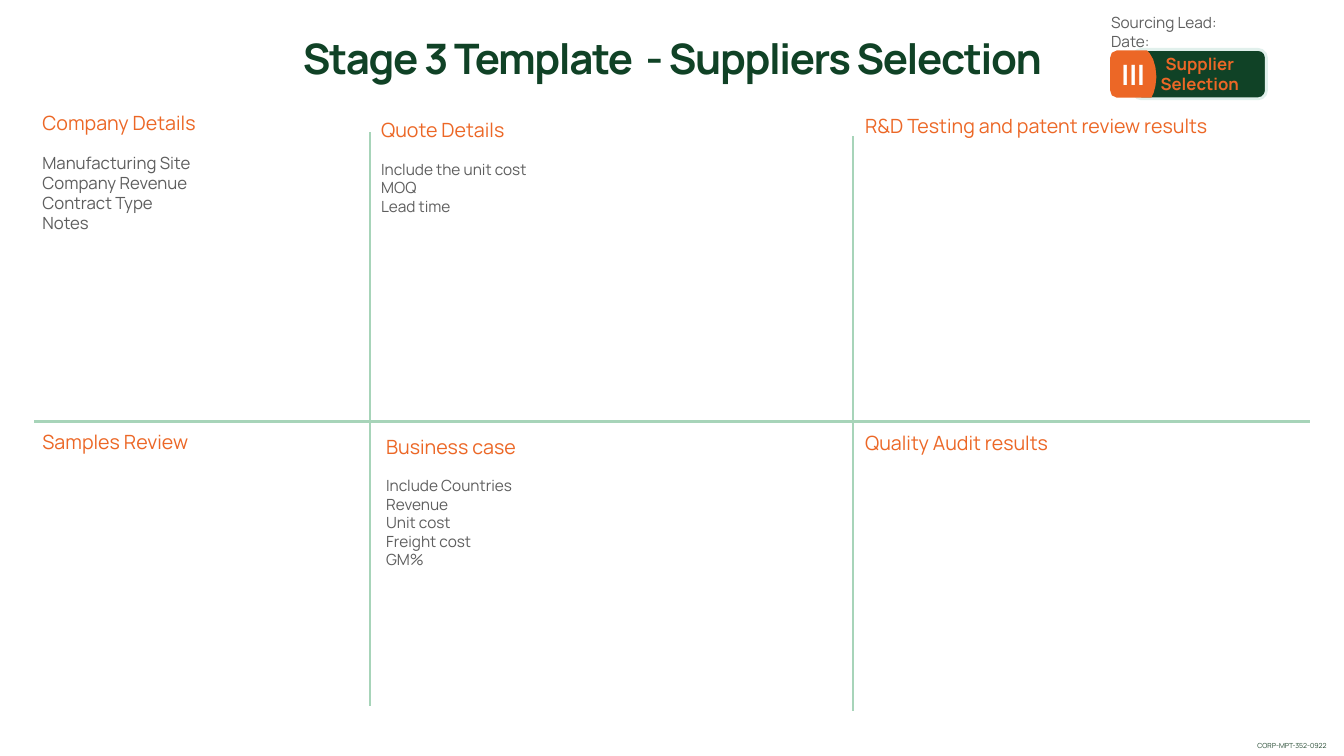
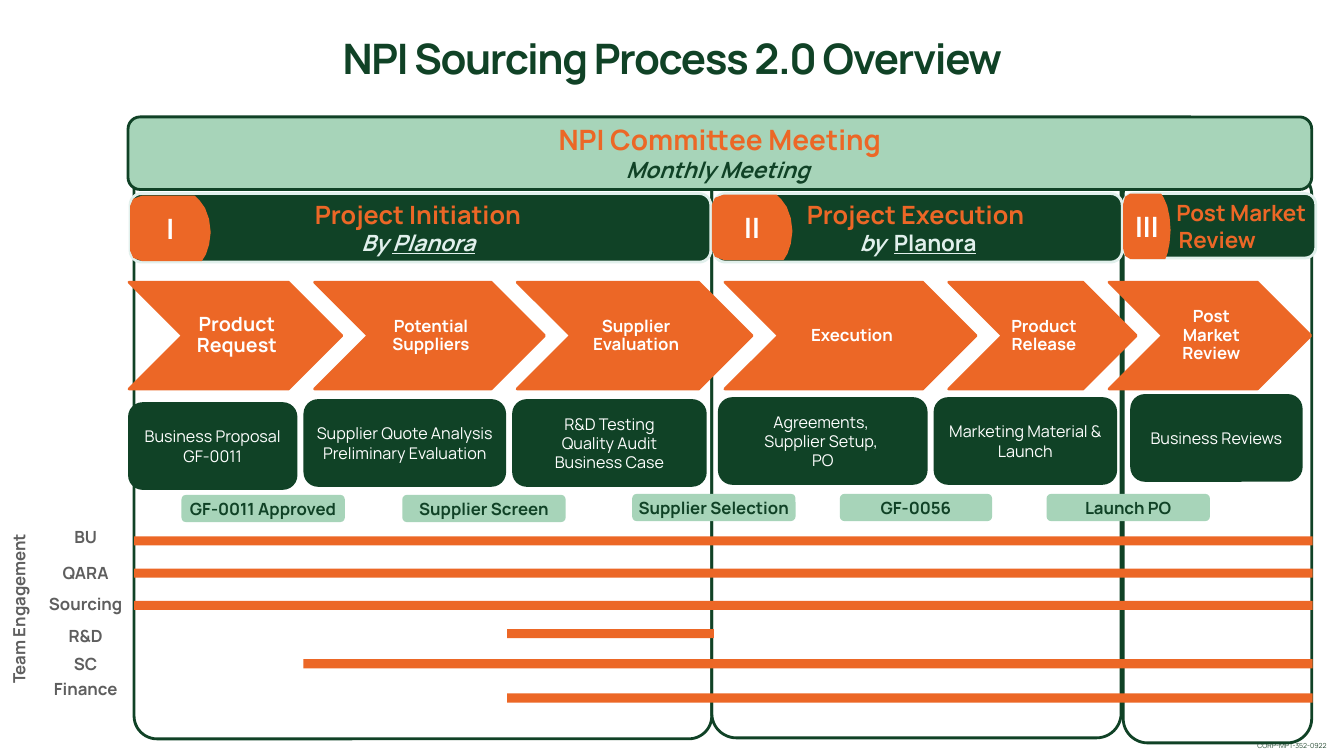
import pptx
import pptx.dml.color
import pptx.enum.shapes
import pptx.enum.text
import pptx.oxml.ns
import pptx.util
from lxml import etree

Inches = pptx.util.Inches
Pt = pptx.util.Pt
SHAPE = pptx.enum.shapes.MSO_SHAPE
ALIGN = pptx.enum.text.PP_ALIGN
ANCHOR = pptx.enum.text.MSO_ANCHOR

FONT = "Manrope"
GREEN, ORANGE, MINT = "104226", "EC6726", "A7D4B9"
PALE, GREY, WHITE, FOOTER = "E1F0EC", "5E5E5E", "FFFFFF", "244931"

TAG_OUTLINE = [
    (0.15, 0), (0.8, 0), (0.86, 0.07), (0.93, 0.19), (0.98, 0.36), (1, 0.56),
    (0.98, 0.75), (0.94, 0.9), (0.89, 1), (0.15, 1), (0.04, 0.95), (0, 0.84),
    (0, 0.16), (0.04, 0.05),
]


def rgb(value):
    """Turn a hex string into a colour."""
    return pptx.dml.color.RGBColor.from_string(value)


def emu(box):
    """Turn a box in inches into lengths."""
    return [Inches(v) for v in box]


def write(tf, paras, align=ALIGN.CENTER, anchor=ANCHOR.MIDDLE, inset=0.02, spacing=None):
    """Fill a text frame with paragraphs of (text, size, colour, flags) runs."""
    tf.word_wrap = True
    tf.vertical_anchor = anchor
    tf.margin_left = Inches(inset)
    tf.margin_right = tf.margin_top = tf.margin_bottom = Inches(0.02)
    for i, runs in enumerate(paras):
        p = tf.add_paragraph() if i else tf.paragraphs[0]
        p.alignment = align
        if spacing:
            p.line_spacing = spacing
        for text, size, color, flags in runs:
            r = p.add_run()
            r.text = text
            r.font.name = FONT
            r.font.size = Pt(size)
            r.font.color.rgb = rgb(color)
            r.font.bold = "b" in flags
            r.font.italic = "i" in flags
            r.font.underline = "u" in flags


def plain(lines, size, color, flags=""):
    """Give each line as a paragraph of one run."""
    return [[(line, size, color, flags)] for line in lines]


def add_text(slide, box, paras, **style):
    """Add a text box."""
    sp = slide.shapes.add_textbox(*emu(box))
    write(sp.text_frame, paras, **style)
    return sp


def paint(sp, fill=None, line=None):
    """Set fill and outline, without a shadow."""
    sp.shadow.inherit = False
    if fill:
        sp.fill.solid()
        sp.fill.fore_color.rgb = rgb(fill)
    else:
        sp.fill.background()
    if line:
        sp.line.color.rgb = rgb(line)
        sp.line.width = Pt(2)
    else:
        sp.line.fill.background()


def add_box(slide, kind, box, fill=None, line=None, paras=(), **style):
    """Add a preset shape with optional text."""
    sp = slide.shapes.add_shape(kind, *emu(box))
    paint(sp, fill, line)
    write(sp.text_frame, paras, **style)
    return sp


def add_rule(slide, x1, y1, x2, y2):
    """Add a straight divider."""
    ln = slide.shapes.add_connector(
        pptx.enum.shapes.MSO_CONNECTOR.STRAIGHT, *emu((x1, y1, x2, y2)))
    ln.line.color.rgb = rgb(MINT)
    ln.line.width = Pt(2)
    etree.SubElement(ln._element.spPr, pptx.oxml.ns.qn("a:effectLst"))


def add_tag(slide, box, numeral):
    """Add the curved numeral tag of a stage."""
    x, y, w, h = box
    outline = [(Inches(x + w * px), Inches(y + h * py)) for px, py in TAG_OUTLINE]
    fb = slide.shapes.build_freeform(*outline[0])
    fb.add_line_segments(outline[1:], close=True)
    sp = fb.convert_to_shape()
    paint(sp, ORANGE)
    write(sp.text_frame, plain([numeral], 20, WHITE, "b"))


def add_stage(slide, box, tag, numeral, paras):
    """Add a stage band; its tag is placed relative to the band."""
    sp = add_box(slide, SHAPE.ROUNDED_RECTANGLE, box, GREEN, PALE, paras)
    dx, dy, w, h = tag
    add_tag(slide, (box[0] + dx, box[1] + dy, w, h), numeral)
    return sp


def add_base(prs, title):
    """Add a slide with the shared footer and title."""
    slide = prs.slides.add_slide(prs.slide_layouts[6])
    frame = slide.shapes.add_table(1, 1, *emu((12.46, 7.31, 0.87, 0.19)))
    cell = frame.table.cell(0, 0)
    cell.fill.background()
    write(cell.text_frame, plain(["CORP-MPT-352-0922"], 5, FOOTER), align=ALIGN.LEFT)
    cell.vertical_anchor = ANCHOR.BOTTOM
    cell.margin_left = cell.margin_right = cell.margin_top = Inches(0.01)
    cell.margin_bottom = Inches(0.05)
    sp = add_text(slide, (2.33, 0.13, 8.68, 0.71), plain([title], 30, GREEN, "b"),
                  anchor=ANCHOR.BOTTOM, spacing=0.8)
    sp.text_frame.paragraphs[0].runs[0].font._element.set("spc", "-100")
    return slide


def add_panel(slide, box, heading, lines=(), size=11):
    """Add a headed note panel."""
    sp = add_text(slide, box, plain([heading], 14, ORANGE) + plain(lines, size, GREY),
                  align=ALIGN.LEFT, anchor=ANCHOR.TOP)
    if lines:
        sp.text_frame.paragraphs[1].space_before = Pt(13)


def add_chevrons(slide, box, steps):
    """Add a row of overlapping chevrons."""
    x, y, _, h = box
    for text, width, size in steps:
        add_box(slide, SHAPE.CHEVRON, (x, y, width, h), ORANGE, ORANGE,
                plain([text], size, WHITE, "b"), inset=0.05, spacing=0.9)
        x += width - 0.27


def add_cards(slide, box, cards):
    """Add the deliverable cards under the chevrons."""
    x, y, _, h = box
    for dx, dy, width, lines in cards:
        add_box(slide, SHAPE.ROUNDED_RECTANGLE, (x + dx, y + dy, width, h), GREEN,
                paras=plain(lines, 11.5, WHITE))


def add_gates(slide, box, gates):
    """Add the approval gates."""
    x, y, _, h = box
    for dx, dy, width, text in gates:
        add_box(slide, SHAPE.ROUNDED_RECTANGLE, (x + dx, y + dy, width, h), MINT,
                paras=plain([text], 12, GREEN, "b"))


def add_engagement(slide, box, teams):
    """Add team names and their bars, with a rotated heading on the left."""
    x, y, w, h = box
    for name, label_dy, bar_dy, start, end in teams:
        add_text(slide, (x - 1.16, y + label_dy - 0.12, 1.36, 0.24),
                 plain([name], 12, GREY, "b"))
        add_box(slide, SHAPE.RECTANGLE, (x + start, y + bar_dy, end - start, 0.09), ORANGE)
    sp = add_text(slide, (x - 2.03, y + 0.6, 1.77, 0.24),
                  plain(["Team Engagement"], 12, GREY, "b"))
    sp.rotation = 270


def build_template(prs):
    """Build the supplier selection template."""
    slide = add_base(prs, "Stage 3 Template  - Suppliers Selection")
    add_text(slide, (11, 0.11, 2.19, 0.41),
             plain(["Sourcing Lead:", "Date:"], 11, GREY), align=ALIGN.LEFT)
    add_rule(slide, 3.67, 1.31, 3.67, 7)
    add_rule(slide, 8.46, 1.35, 8.46, 7.05)
    add_rule(slide, 0.34, 4.18, 12.99, 4.18)
    add_panel(slide, (0.4, 1.08, 3.21, 3.06), "Company Details",
              ["Manufacturing Site", "Company Revenue", "Contract Type", "Notes"], 12)
    add_panel(slide, (3.76, 1.15, 4.61, 2.96), "Quote Details",
              ["Include the unit cost", "MOQ", "Lead time"])
    add_panel(slide, (8.56, 1.11, 4.43, 2.96), "R&D Testing and patent review results")
    add_panel(slide, (0.4, 4.24, 3.21, 2.58), "Samples Review")
    add_panel(slide, (3.81, 4.29, 4.56, 2.58), "Business case",
              ["Include Countries", "Revenue", "Unit cost", "Freight cost", "GM%"])
    add_panel(slide, (8.56, 4.26, 3.68, 2.76), "Quality Audit results")
    add_stage(slide, (11.24, 0.49, 1.32, 0.49), (-0.23, 0.01, 0.46, 0.47), "III",
              plain(["Supplier Selection"], 12, ORANGE, "b"))


def build_overview(prs):
    """Build the sourcing process overview."""
    slide = add_base(prs, "NPI Sourcing Process 2.0 Overview")
    for x, y, w, adj in ((11.14, 1.69, 1.87, 0.13), (7.06, 1.64, 4.06, 0.06),
                         (1.33, 1.65, 5.73, 0.04)):
        sp = add_box(slide, SHAPE.ROUNDED_RECTANGLE, (x, y, w, 5.68), line=GREEN)
        sp.adjustments[0] = adj
    add_chevrons(slide, (1.28, 2.8, 11.73, 1.06), [
        ("Product Request", 2.11, 14), ("Potential Suppliers", 2.28, 12),
        ("Supplier Evaluation", 2.33, 12), ("Execution", 2.49, 12),
        ("Product Release", 1.86, 12), ("Post Market Review", 2, 12)])
    add_cards(slide, (1.27, 3.91, 11.65, 0.87), [
        (0, 0.08, 1.68, ["Business Proposal", "GF-0011"]),
        (1.74, 0.05, 2.01, ["Supplier Quote Analysis", "Preliminary Evaluation"]),
        (3.81, 0.05, 1.93, ["R&D Testing", "Quality Audit", "Business Case"]),
        (5.85, 0.03, 2.08, ["Agreements, ", "Supplier Setup, ", "PO"]),
        (7.99, 0.03, 1.82, ["Marketing Material & Launch"]),
        (9.94, 0, 1.71, ["Business Reviews"])])
    add_engagement(slide, (1.33, 5.32, 11.69, 1.65), [
        ("BU", 0, 0, 0, 11.69), ("QARA", 0.36, 0.32, 0, 11.69),
        ("Sourcing", 0.67, 0.64, 0, 11.69), ("R&D", 0.99, 0.92, 3.7, 5.75),
        ("SC", 1.26, 1.22, 1.68, 11.69), ("Finance", 1.51, 1.56, 3.7, 11.69)])
    add_stage(slide, (1.29, 1.92, 5.76, 0.68), (0, 0.02, 0.8, 0.65), "I", [
        [("Project Initiation ", 18, ORANGE, "b")],
        [("By ", 16, PALE, "bi"), ("Planora", 16, PALE, "biu"), (" ", 16, PALE, "bi")]])
    add_stage(slide, (7.08, 1.92, 4.05, 0.68), (-0.02, 0.01, 0.8, 0.65), "II", [
        [("Project Execution ", 18, ORANGE, "b")],
        [("by  ", 16, PALE, "bi"), ("Planora", 16, PALE, "bu")]])
    review = add_stage(slide, (11.14, 1.92, 1.91, 0.64), (0, 0, 0.47, 0.65), "III",
                       plain(["Post Market ", "Review "], 16, ORANGE, "b"))
    review.text_frame.paragraphs[0].alignment = ALIGN.RIGHT
    add_gates(slide, (1.8, 4.9, 10.2, 0.27), [
        (0, 0.01, 1.62, "GF-0011 Approved"), (2.19, 0.01, 1.62, "Supplier Screen"),
        (4.47, 0, 1.62, "Supplier Selection"), (6.53, 0, 1.51, "GF-0056"),
        (8.58, 0, 1.62, "Launch PO")])
    add_box(slide, SHAPE.ROUNDED_RECTANGLE, (1.27, 1.16, 11.74, 0.72), MINT, GREEN, [
        [("NPI Committee Meeting", 20, ORANGE, "b")],
        [("Monthly Meeting ", 16, GREEN, "bi")]])


def main():
    """Build and save the presentation."""
    prs = pptx.Presentation()
    prs.slide_width, prs.slide_height = Inches(13.33), Inches(7.5)
    build_template(prs)
    build_overview(prs)
    prs.save("out.pptx")


if __name__ == "__main__":
    main()
